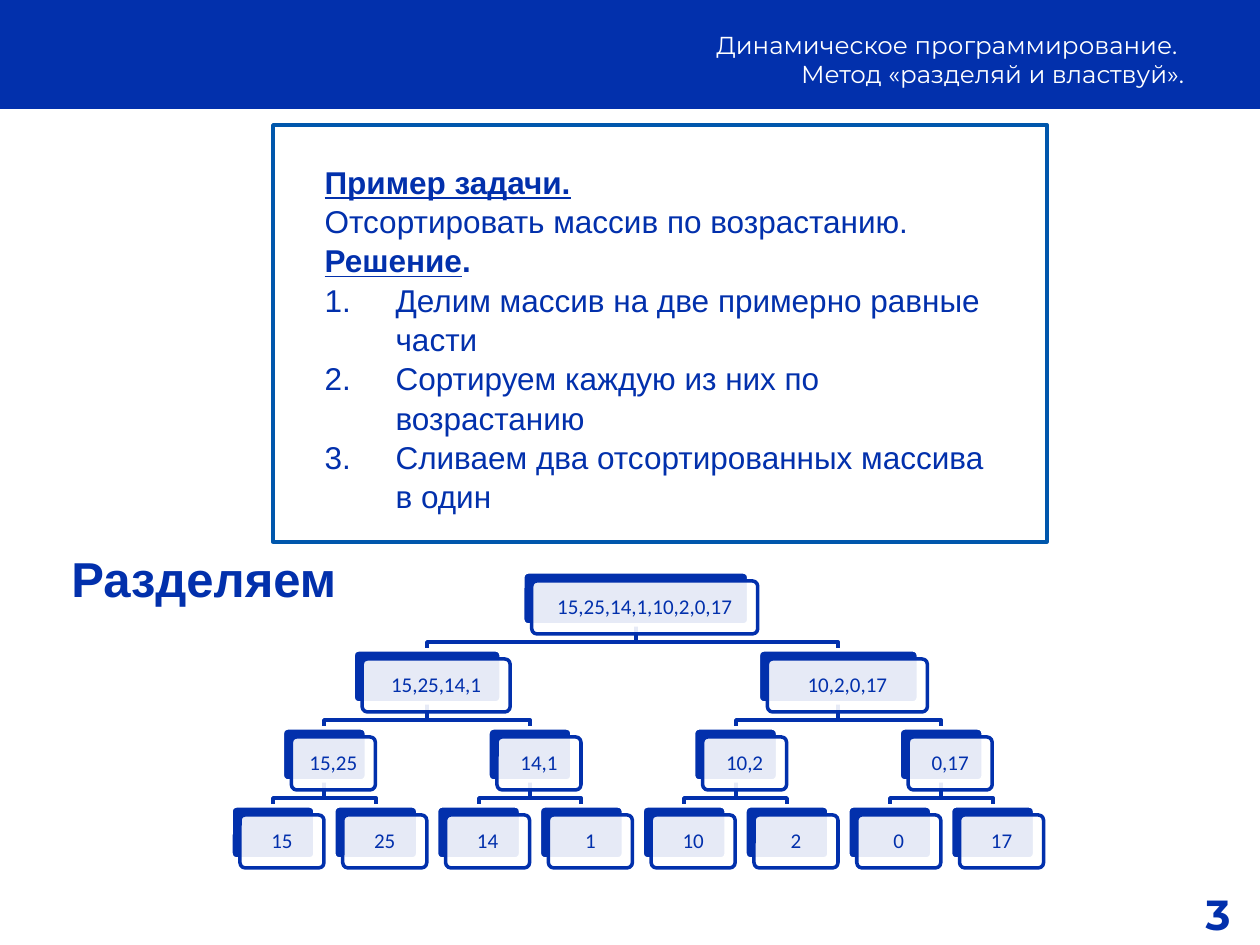
import pptx
import pptx.util
import pptx.dml.color
import pptx.enum.shapes
import pptx.enum.text
from dataclasses import dataclass
from lxml import etree


@dataclass(frozen=True)
class Theme:
    blue: str = "0230AC"
    frame: str = "0057AC"
    white: str = "FFFFFF"
    heading_font: str = "Montserrat"
    body_font: str = "Arial"
    tree_font: str = "Calibri"
    header_size: int = 14
    body_size: int = 18
    section_size: int = 28
    number_size: int = 24
    node_size: int = 12
    line_width: int = 2


THEME = Theme()
ALIGN = pptx.enum.text.PP_ALIGN
ANCHOR = pptx.enum.text.MSO_ANCHOR
SHAPE = pptx.enum.shapes.MSO_SHAPE
EMU_PER_PX = 914400 / 126

# Content: a paragraph is a list of (text, bold, underline) runs
HEADER = ["Динамическое программирование. ", "Метод «разделяй и властвуй»."]
TASK = [
    [("Пример задачи.", True, True)],
    [("Отсортировать массив по возрастанию.", False, False)],
    [("Решение", True, True), (".", True, False)],
]
STEPS = [
    "Делим массив на две примерно равные части",
    "Сортируем каждую из них по возрастанию",
    "Сливаем два отсортированных массива в один",
]
SECTION = "Разделяем"
PAGE = "3"
# Tree levels: every pair of neighbours shares one parent above
LEVELS = [
    ["15,25,14,1,10,2,0,17"],
    ["15,25,14,1", "10,2,0,17"],
    ["15,25", "14,1", "10,2", "0,17"],
    ["15", "25", "14", "1", "10", "2", "0", "17"],
]
WIDTHS = [[226], [148, 160], [84] * 4, [84] * 8]

# Tree measures in px
FIRST_LEAF, LEAF_STEP = 273, 102.8
TREE_TOP, LEVEL_STEP = 572, 78
NODE_HEIGHT, FRONT_SHIFT, ELBOW = 53, 9, 8


def px(value):
    return pptx.util.Emu(round(value * EMU_PER_PX))


def box(left, top, width, height):
    return px(left), px(top), px(width), px(height)


def color(value):
    return pptx.dml.color.RGBColor.from_string(value)


def add_child(parent, tag, **attributes):
    namespace = "http://schemas.openxmlformats.org/drawingml/2006/main"
    return etree.SubElement(parent, f"{{{namespace}}}{tag}", **attributes)


def write(shape, paragraphs, *, font, size, ink=THEME.blue, bold=False, align=ALIGN.LEFT,
          anchor=ANCHOR.TOP, spacing=1.0, inset=None):
    """Fill a shape with paragraphs, each a string or a list of runs."""
    frame = shape.text_frame
    frame.word_wrap = True
    frame.auto_size = pptx.enum.text.MSO_AUTO_SIZE.NONE
    frame.vertical_anchor = anchor
    if inset is not None:
        frame.margin_left = frame.margin_right = px(inset)
        frame.margin_top = frame.margin_bottom = px(inset)
    for index, content in enumerate(paragraphs):
        paragraph = frame.add_paragraph() if index else frame.paragraphs[0]
        paragraph.alignment = align
        paragraph.line_spacing = spacing
        paragraph.space_before = pptx.util.Pt(0)
        runs = [(content, bold, False)] if isinstance(content, str) else content
        for text, is_bold, underline in runs:
            run = paragraph.add_run()
            run.text = text
            run.font.name, run.font.size = font, pptx.util.Pt(size)
            run.font.bold, run.font.underline = is_bold, underline
            run.font.color.rgb = color(ink)


def outline(shape, ink):
    shape.shadow.inherit = False
    shape.line.color.rgb = color(ink)
    shape.line.width = pptx.util.Pt(THEME.line_width)


def add_block(slide, kind, place, fill, line=None):
    shape = slide.shapes.add_shape(kind, *box(*place))
    shape.shadow.inherit = False
    shape.fill.solid()
    shape.fill.fore_color.rgb = color(fill)
    if line:
        outline(shape, line)
    else:
        shape.line.fill.background()
    return shape


def add_label(slide, place, text, **formats):
    write(slide.shapes.add_textbox(*box(*place)), [text], bold=True, **formats)


def place_placeholder(shape, place):
    shape.left, shape.top, shape.width, shape.height = box(*place)


def tree_centers():
    """Leaves are evenly spaced; a parent is centred over its children's outer edges."""
    centers = [[FIRST_LEAF + LEAF_STEP * i for i in range(len(LEVELS[-1]))]]
    for widths in reversed(WIDTHS[1:]):
        row = centers[0]
        centers.insert(0, [
            (row[i] - widths[i] / 2 + row[i + 1] + widths[i + 1] / 2) / 2
            for i in range(0, len(row), 2)
        ])
    return centers


def add_elbow(slide, parent_x, child_x, parent_bottom, child_top):
    bend = child_top - ELBOW
    builder = slide.shapes.build_freeform(round(parent_x), parent_bottom, scale=EMU_PER_PX)
    builder.add_line_segments(
        [(round(parent_x), bend), (round(child_x), bend), (round(child_x), child_top)],
        close=False)
    elbow = builder.convert_to_shape()
    elbow.fill.background()
    outline(elbow, THEME.blue)


def add_node(slide, text, center, top, width):
    left = center - width / 2
    back = add_block(slide, SHAPE.ROUNDED_RECTANGLE, (left, top, width, NODE_HEIGHT),
                     THEME.blue, THEME.white)
    front = add_block(slide, SHAPE.ROUNDED_RECTANGLE,
                      (left + FRONT_SHIFT, top + FRONT_SHIFT, width, NODE_HEIGHT),
                      THEME.white, THEME.blue)
    back.adjustments[0] = front.adjustments[0] = 0.1
    fill = front.element.spPr.find(".//{*}solidFill/{*}srgbClr")
    add_child(fill, "alpha", val="90000")
    write(front, [text], font=THEME.tree_font, size=THEME.node_size, align=ALIGN.CENTER,
          anchor=ANCHOR.MIDDLE, spacing=0.9, inset=6)


def add_tree(slide):
    centers = tree_centers()
    tops = [TREE_TOP + LEVEL_STEP * level for level in range(len(LEVELS))]
    for level in range(1, len(LEVELS)):
        for i, center in enumerate(centers[level]):
            add_elbow(slide, centers[level - 1][i // 2], center,
                      tops[level - 1] + NODE_HEIGHT, tops[level])
    for texts, row, top, widths in zip(LEVELS, centers, tops, WIDTHS):
        for text, center, width in zip(texts, row, widths):
            add_node(slide, text, center, top, width)


def main():
    presentation = pptx.Presentation()
    presentation.slide_width, presentation.slide_height = px(1260), px(945)
    slide = presentation.slides.add_slide(presentation.slide_layouts[1])
    title, body = slide.placeholders

    # Header band and task frame, behind the placeholders
    band = add_block(slide, SHAPE.RECTANGLE, (0, 0, 1260, 109), THEME.blue)
    frame = add_block(slide, SHAPE.RECTANGLE, (273, 125, 774, 417), THEME.white, THEME.frame)
    for shape in (band, frame):
        title.element.addprevious(shape.element)

    # Header
    place_placeholder(title, (556, 34, 641, 51))
    write(title, HEADER, font=THEME.heading_font, size=THEME.header_size, ink=THEME.white,
          align=ALIGN.RIGHT, anchor=ANCHOR.MIDDLE)

    # Task and numbered steps
    place_placeholder(body, (312, 155, 689, 357))
    write(body, TASK + STEPS, font=THEME.body_font, size=THEME.body_size, spacing=1.04)
    indent = px(71)
    for index, paragraph in enumerate(body.text_frame.paragraphs):
        properties = paragraph._p.get_or_add_pPr()
        numbered = index >= len(TASK)
        properties.set("marL", str(indent if numbered else 0))
        properties.set("indent", str(-indent if numbered else 0))
        if numbered:
            add_child(properties, "buFont", typeface=THEME.body_font)
            add_child(properties, "buAutoNum", type="arabicPeriod")
        else:
            add_child(properties, "buNone")

    # Section label, page number and division tree
    add_label(slide, (59, 542, 427, 72), SECTION, font=THEME.body_font,
              size=THEME.section_size)
    add_label(slide, (1176, 882, 84, 63), PAGE, font=THEME.heading_font,
              size=THEME.number_size, align=ALIGN.CENTER)
    add_tree(slide)
    presentation.save("out.pptx")


if __name__ == "__main__":
    main()
